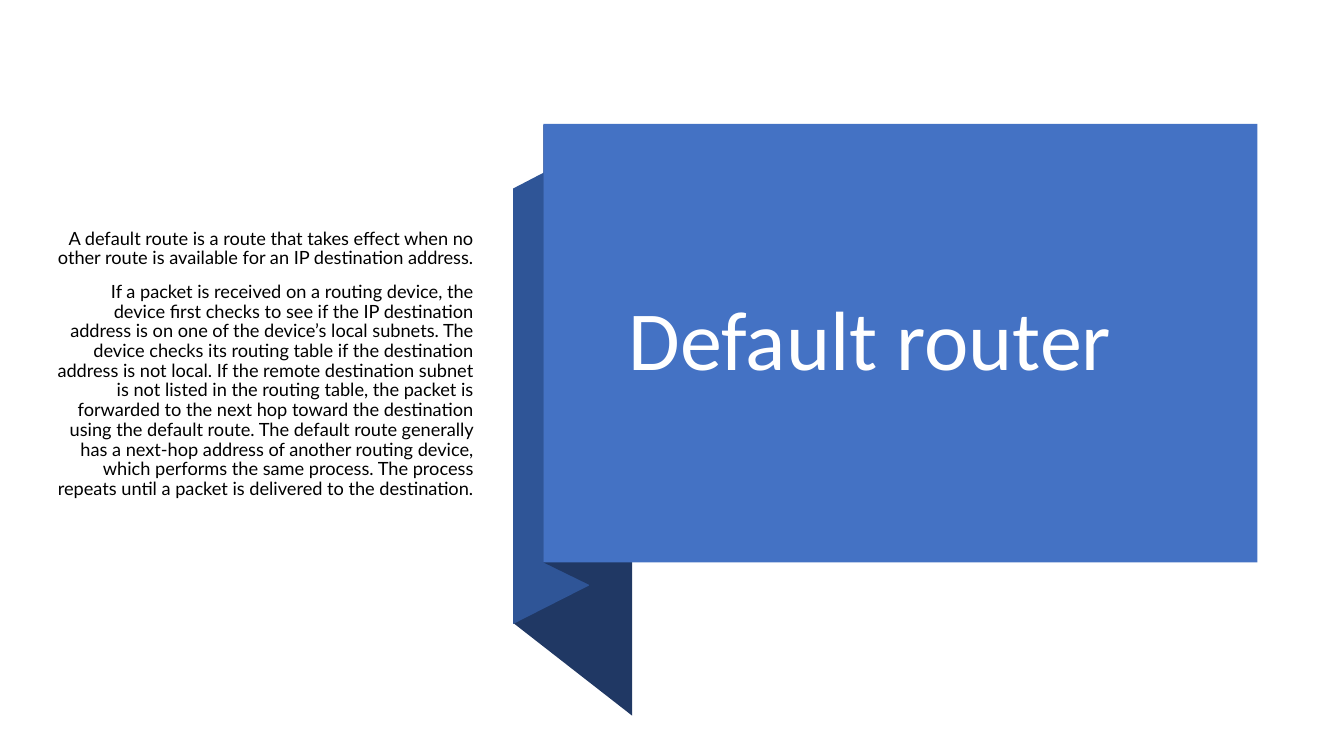
from pptx import Presentation
from pptx.dml.color import RGBColor
from pptx.enum.shapes import MSO_SHAPE
from pptx.enum.text import MSO_ANCHOR, PP_ALIGN
from pptx.util import Inches, Pt

RECTANGLE = MSO_SHAPE.RECTANGLE
MIDDLE = MSO_ANCHOR.MIDDLE
LEFT, RIGHT = PP_ALIGN.LEFT, PP_ALIGN.RIGHT

BLUE, MID_BLUE, NAVY = "4472C4", "2F5597", "203864"

EXPLANATION = [
    "A default route is a route that takes effect when no other route is available "
    "for an IP destination address.",
    "If a packet is received on a routing device, the device first checks to see if "
    "the IP destination address is on one of the device’s local subnets. The device "
    "checks its routing table if the destination address is not local. If the remote "
    "destination subnet is not listed in the routing table, the packet is forwarded "
    "to the next hop toward the destination using the default route. The default "
    "route generally has a next-hop address of another routing device, which performs "
    "the same process. The process repeats until a packet is delivered to the "
    "destination.",
]


def color(value):
    return RGBColor.from_string(value)


def paint(shape, fill):
    shape.shadow.inherit = False
    shape.fill.solid()
    shape.fill.fore_color.rgb = color(fill)
    shape.line.fill.background()


def add_fold(slide, left, top, width, left_edge, right_edge, fill):
    right = left + width
    corners = [
        (left, top + left_edge[0]),
        (right, top + right_edge[0]),
        (right, top + right_edge[1]),
        (left, top + left_edge[1]),
    ]
    points = [(Inches(x), Inches(y)) for x, y in corners]
    builder = slide.shapes.build_freeform(*points[0], scale=1.0)
    builder.add_line_segments(points[1:], close=True)
    paint(builder.convert_to_shape(), fill)


def add_text(slide, left, top, width, height, texts, size, font, fill, alignment):
    box = slide.shapes.add_textbox(*map(Inches, (left, top, width, height)))
    frame = box.text_frame
    frame.word_wrap = True
    frame.vertical_anchor = MIDDLE
    for index, text in enumerate(texts):
        paragraph = frame.add_paragraph() if index else frame.paragraphs[0]
        paragraph.alignment = alignment
        paragraph.line_spacing = 0.9
        paragraph.space_before = Pt(10 if index else 0)
        run = paragraph.add_run()
        run.text = text
        run.font.size = Pt(size)
        run.font.name = font
        run.font.color.rgb = color(fill)


def add_title_banner(slide, left, top, width, height):
    ribbon = left - 0.3
    add_fold(slide, ribbon, top, 1.18, (0.69, 4.95), (1.61, 5.87), NAVY)
    add_fold(slide, ribbon, top, 0.75, (0.64, 4.96), (0.25, 4.58), MID_BLUE)
    add_fold(slide, left, top, 0.45, (0.01, 4.35), (0.23, 4.57), NAVY)
    panel = slide.shapes.add_shape(
        RECTANGLE, *map(Inches, (left, top, width, height)))
    paint(panel, BLUE)
    add_text(slide, left + 0.75, top + 0.35, width - 0.75, height - 0.69,
             ["Default router"], 60, "Calibri", "FFFFFF", LEFT)


def add_explanation(slide, left, top, width, height):
    add_text(slide, left, top, width, height,
             EXPLANATION, 13, "Lato", "000000", RIGHT)


def main():
    presentation = Presentation()
    presentation.slide_width = Inches(13.33)
    presentation.slide_height = Inches(7.5)
    slide = presentation.slides.add_slide(presentation.slide_layouts[6])
    add_title_banner(slide, 5.39, 1.23, 7.08, 4.35)
    add_explanation(slide, 0.46, 0.61, 4.33, 6.01)
    presentation.save("out.pptx")


if __name__ == "__main__":
    main()
